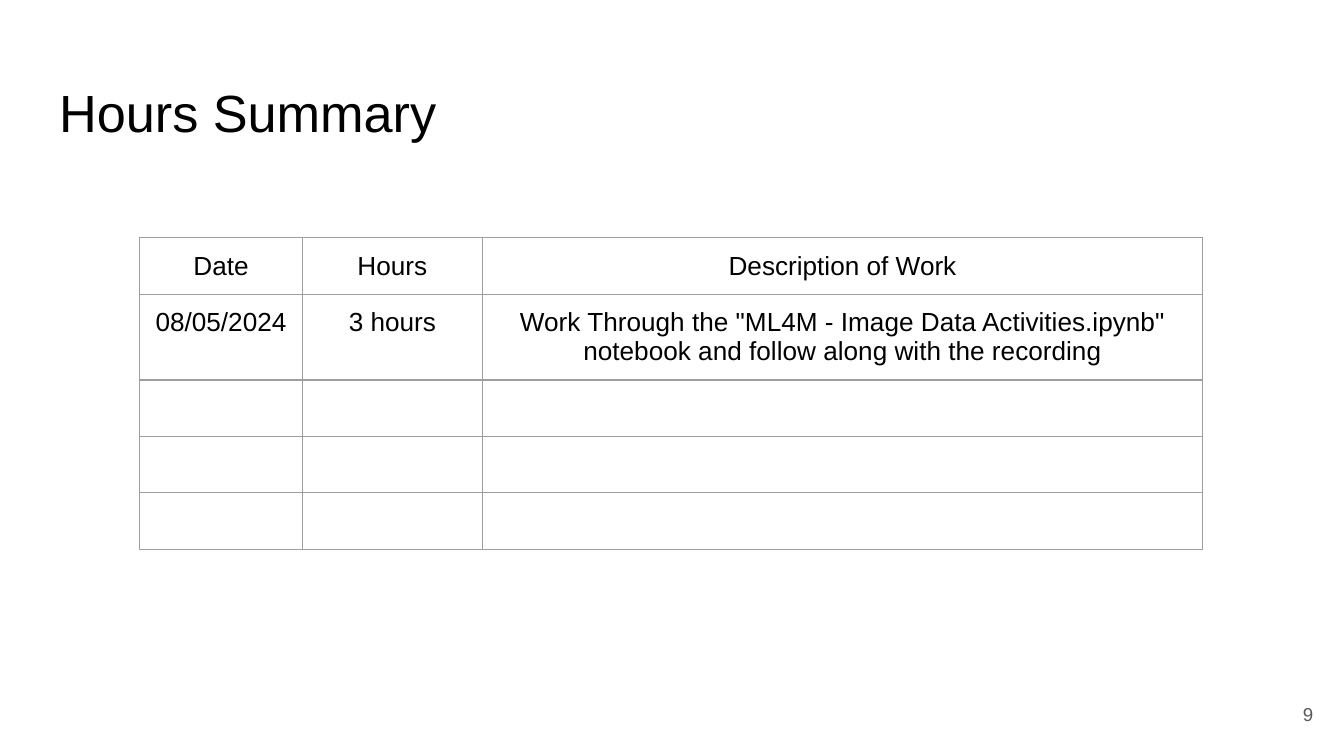
from dataclasses import dataclass

from lxml.etree import SubElement
from pptx import Presentation
from pptx.dml.color import RGBColor
from pptx.enum.text import MSO_ANCHOR, MSO_AUTO_SIZE, PP_ALIGN
from pptx.oxml.ns import qn
from pptx.util import Inches, Pt


@dataclass(frozen=True)
class Theme:
    font: str = "Arial"
    ink: str = "000000"
    muted: str = "595959"
    border: str = "9E9E9E"
    border_width: float = 0.75
    title_size: int = 28
    table_size: int = 14
    number_size: int = 10


theme = Theme()
margin = Inches(0.1)


def write_text(frame, text, size, color, align, anchor):
    frame.text = text
    frame.word_wrap = True
    frame.vertical_anchor = anchor
    frame.margin_left = frame.margin_right = margin
    frame.margin_top = frame.margin_bottom = margin
    para = frame.paragraphs[0]
    para.alignment = align
    for span in para.runs:
        span.font.name = theme.font
        span.font.size = Pt(size)
        span.font.color.rgb = RGBColor.from_string(color)


def add_borders(cell):
    properties = cell._tc.get_or_add_tcPr()
    for side in ("a:lnL", "a:lnR", "a:lnT", "a:lnB"):
        line = SubElement(properties, qn(side), w=str(Pt(theme.border_width)))
        fill = SubElement(line, qn("a:solidFill"))
        SubElement(fill, qn("a:srgbClr"), val=theme.border)


deck = Presentation()
deck.slide_width = Inches(10)
deck.slide_height = deck.slide_width * 9 // 16
page = deck.slides.add_slide(deck.slide_layouts[5])

# Title
title = page.shapes.title
title.left, title.top = Inches(0.34), Inches(0.5)
title.width, title.height = Inches(9.32), Inches(0.63)
write_text(title.text_frame, "Hours Summary", theme.title_size, theme.ink,
           PP_ALIGN.LEFT, MSO_ANCHOR.TOP)
title.text_frame.auto_size = MSO_AUTO_SIZE.NONE

# Hours table, with blank rows left to fill in
blank_row = ("", "", "")
rows = [
    ("Date", "Hours", "Description of Work"),
    ("08/05/2024", "3 hours",
     'Work Through the "ML4M - Image Data Activities.ipynb" '
     "notebook and follow along with the recording"),
    blank_row, blank_row, blank_row,
]
column_widths = (1.21, 1.34, 5.36)
row_height = 0.42

hours_table = page.shapes.add_table(
    len(rows), len(column_widths), Inches(1.04), Inches(1.77),
    Inches(sum(column_widths)), Inches(row_height * len(rows))).table
hours_table.first_row = hours_table.horz_banding = False
for column, width in zip(hours_table.columns, column_widths):
    column.width = Inches(width)

for row, texts in zip(hours_table.rows, rows):
    row.height = Inches(row_height)
    for cell, text in zip(row.cells, texts):
        write_text(cell.text_frame, text, theme.table_size, theme.ink,
                   PP_ALIGN.CENTER, MSO_ANCHOR.TOP)
        cell.margin_left = cell.margin_right = margin
        cell.margin_top = cell.margin_bottom = margin
        if not text:
            # The end mark's font and size keep blank rows from growing
            end_mark = SubElement(
                cell.text_frame.paragraphs[0]._p, qn("a:endParaRPr"),
                sz=str(theme.table_size * 100))
            SubElement(end_mark, qn("a:latin"), typeface=theme.font)
        add_borders(cell)
        cell.fill.background()

# Page number
number_box = page.shapes.add_textbox(
    Inches(9.27), Inches(5.1), Inches(0.6), Inches(0.43))
write_text(number_box.text_frame, "9", theme.number_size, theme.muted,
           PP_ALIGN.RIGHT, MSO_ANCHOR.MIDDLE)

deck.save("out.pptx")
